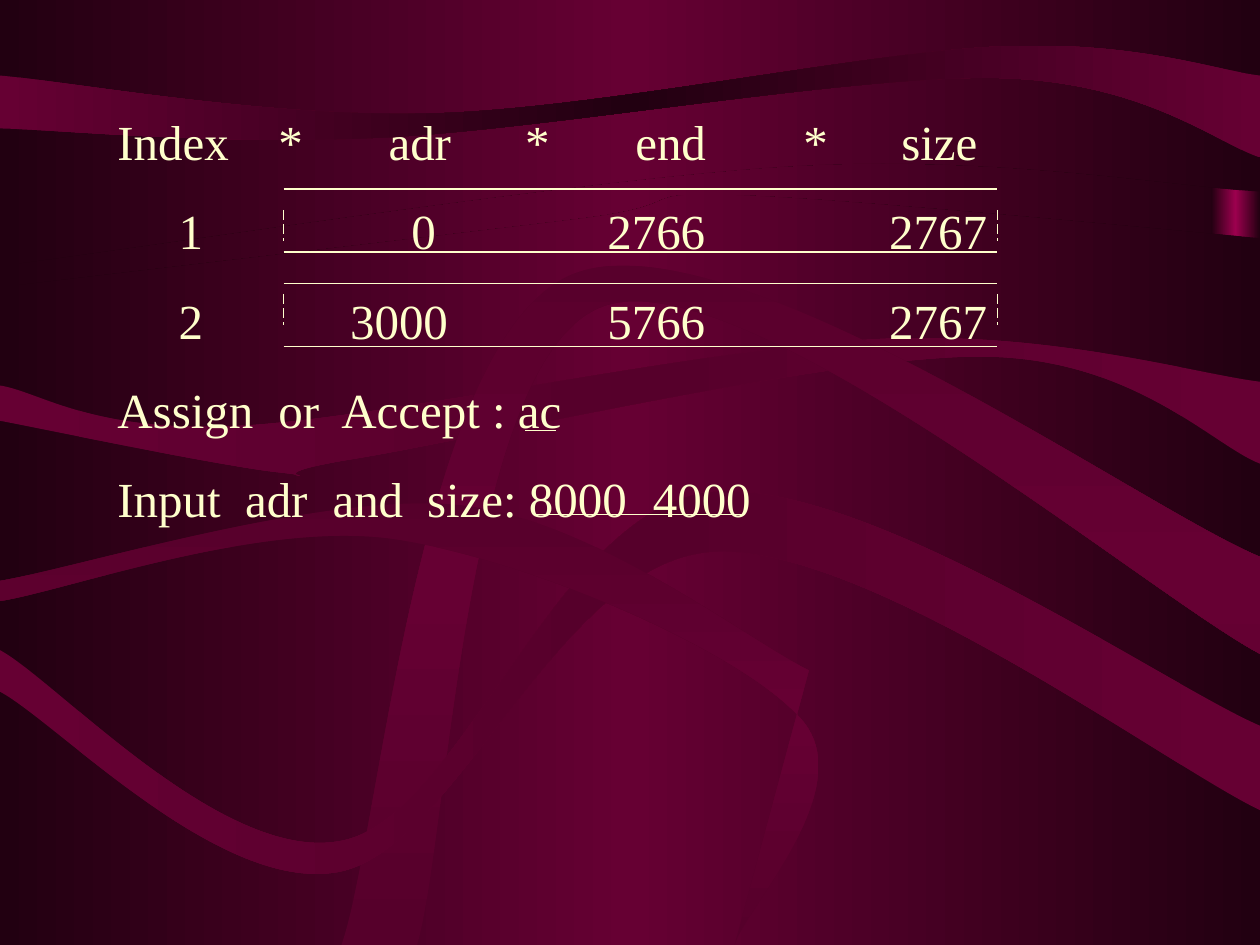
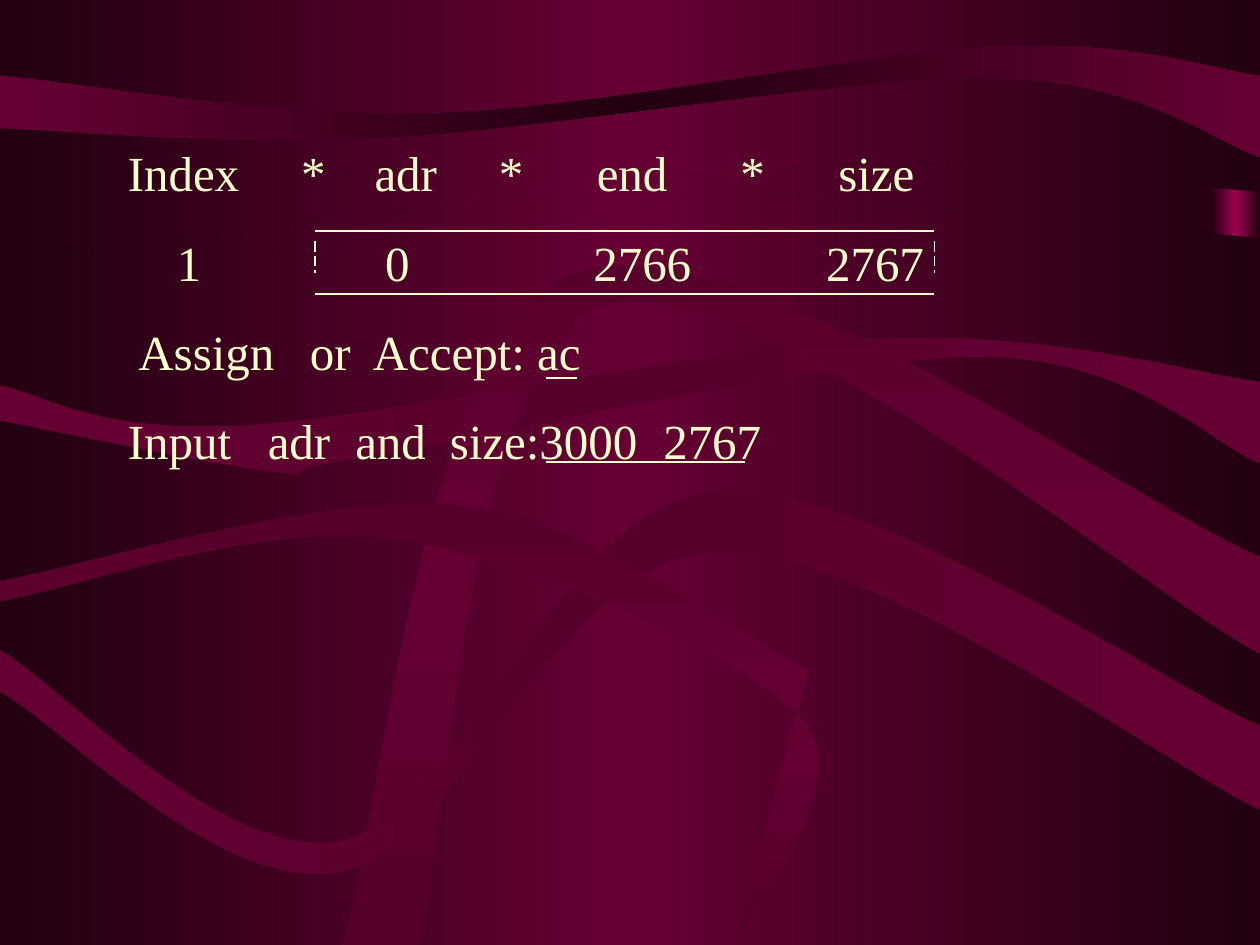
from dataclasses import dataclass

from lxml.etree import Element, SubElement
from pptx import Presentation
from pptx.dml.color import RGBColor
from pptx.enum.dml import MSO_LINE
from pptx.enum.shapes import MSO_CONNECTOR, MSO_SHAPE
from pptx.enum.text import MSO_AUTO_SIZE
from pptx.oxml.ns import qn
from pptx.util import Pt

RECTANGLE = MSO_SHAPE.RECTANGLE
STRAIGHT = MSO_CONNECTOR.STRAIGHT
LONG_DASH = MSO_LINE.LONG_DASH
GROW = MSO_AUTO_SIZE.SHAPE_TO_FIT_TEXT

CREAM = RGBColor(0xFF, 0xFF, 0xCC)
NIGHT = RGBColor(0x22, 0x00, 0x11)
WINE = RGBColor(0x66, 0x00, 0x33)
PLUM = RGBColor(0x56, 0x00, 0x2B)
MAGENTA = RGBColor(0x9C, 0x00, 0x4E)

FONT = "Times New Roman"
RIBBON_UNIT = Pt(0.72)
FIRST_RIBBON_ID = 100
FRAME_HEIGHT = 36
SIDE_HEIGHT = 18

Point = tuple[float, float]


@dataclass(frozen=True)
class Ribbon:
    outward: list[Point]
    homeward: list[Point]
    edge: RGBColor
    middle: RGBColor
    angle: int = 180


@dataclass(frozen=True)
class Row:
    words: list[str]
    offsets: list[int]


@dataclass(frozen=True)
class Frame:
    left: float
    right: float
    top: float
    side_top: float


@dataclass(frozen=True)
class Underline:
    left: float
    right: float
    top: float


@dataclass(frozen=True)
class Page:
    left: float
    top: float
    width: float
    height: float
    rows: list[Row]
    frames: list[Frame]
    underlines: list[Underline]


HEADINGS = ["Index", "*", "adr", "*", "end", "*", "size"]

RIBBONS = [
    Ribbon([(0, 0), (1000, 0)], [(1000, 152), (625, 132), (0, 211)], NIGHT, WINE),
    Ribbon([(0, 228), (458, 174), (586, 155), (1000, 189)],
           [(1000, 750), (0, 750)], NIGHT, WINE),
    Ribbon([(0, 60), (345, 90), (792, 37), (1000, 60)],
           [(1000, 125), (794, 62), (308, 109), (0, 102)], WINE, NIGHT),
    Ribbon([(0, 306), (190, 338), (701, 269), (1000, 303)],
           [(1000, 368), (780, 283), (282, 364), (222, 375), (0, 334)], WINE, PLUM),
    Ribbon([(271, 750), (454, 218), (1000, 442)],
           [(1000, 519), (479, 243), (331, 750)], PLUM, WINE, 90),
    Ribbon([(0, 516), (273, 667), (562, 391), (1000, 576)],
           [(1000, 643), (565, 438), (269, 692), (0, 549)], WINE, PLUM),
    Ribbon([(0, 477), (314, 428), (637, 572), (583, 750)],
           [(642, 532), (366, 401), (0, 461)], PLUM, WINE, 90),
]

PAGES = [
    Page(
        60, 60, 612, 245.5,
        [
            Row(HEADINGS, [0, 92, 155, 233, 296, 392, 448]),
            Row(["1", "0", "2766", "2767"], [35, 168, 280, 441]),
            Row(["2", "3000", "5766", "2767"], [35, 133, 280, 441]),
            Row(["Assign", "or", "Accept : ac"], [0, 92, 128]),
            Row(["Input", "adr", "and", "size: 8000", "4000"], [0, 73, 123, 177, 306]),
        ],
        [Frame(162, 570, 108, 120), Frame(162, 570, 162, 168)],
        [Underline(300, 318, 246), Underline(306, 426, 294)],
    ),
    Page(
        66, 78, 582, 194.4,
        [
            Row(HEADINGS, [0, 99, 141, 212, 268, 350, 406]),
            Row(["1", "0", "2766", "2767"], [28, 147, 266, 399]),
            Row(["Assign", "or", "Accept: ac"], [6, 104, 140]),
            Row(["Input", "adr", "and", "size:3000", "2767"], [0, 80, 130, 184, 306]),
        ],
        [Frame(180, 534, 132, 138)],
        [Underline(312, 330, 216), Underline(312, 426, 264)],
    ),
]


def fill_gradient(fill, element, edge: RGBColor, middle: RGBColor, angle: int) -> None:
    fill.gradient()
    fill.gradient_angle = angle
    stops = element.find(f".//{qn('a:gsLst')}")
    for stop in list(stops):
        stops.remove(stop)
    for position, color in ((0, edge), (50000, middle), (100000, edge)):
        stop = SubElement(stops, qn("a:gs"), pos=str(position))
        SubElement(stop, qn("a:srgbClr"), val=str(color))


def style_ribbon(shape, edge: RGBColor, middle: RGBColor, angle: int) -> None:
    shape.shadow.inherit = False
    fill_gradient(shape.fill, shape.element, edge, middle, angle)
    shape.line.fill.background()


def smooth_points(anchors: list[Point]) -> list[Point]:
    padded = [anchors[0], *anchors, anchors[-1]]
    points = []
    for before, start, end, after in zip(padded, padded[1:], padded[2:], padded[3:]):
        points += [
            (start[0] + (end[0] - before[0]) / 6, start[1] + (end[1] - before[1]) / 6),
            (end[0] - (after[0] - start[0]) / 6, end[1] - (after[1] - start[1]) / 6),
            end,
        ]
    return points


def bend_lines(lines: list) -> None:
    for first, second, third in zip(lines[::3], lines[1::3], lines[2::3]):
        curve = Element(qn("a:cubicBezTo"))
        first.addprevious(curve)
        for line in (first, second, third):
            curve.append(line[0])
            line.getparent().remove(line)


def draw_ribbon(slide, ribbon: Ribbon):
    outward = smooth_points(ribbon.outward)
    homeward = smooth_points(ribbon.homeward)
    builder = slide.shapes.build_freeform(*ribbon.outward[0], scale=RIBBON_UNIT)
    builder.add_line_segments([*outward, ribbon.homeward[0], *homeward], close=True)
    shape = builder.convert_to_shape()
    lines = shape.element.findall(f".//{qn('a:lnTo')}")
    bridge = len(outward)
    bend_lines(lines[:bridge])
    bend_lines(lines[bridge + 1:])
    style_ribbon(shape, ribbon.edge, ribbon.middle, ribbon.angle)
    return shape


def build_master(master, slide) -> None:
    fill_gradient(master.background.fill, master.element, NIGHT, WINE, 180)
    glow = slide.shapes.add_shape(RECTANGLE, Pt(692), Pt(35), Pt(28), Pt(248.5))
    style_ribbon(glow, NIGHT, MAGENTA, 180)
    shapes = [glow] + [draw_ribbon(slide, ribbon) for ribbon in RIBBONS]
    for number, shape in enumerate(shapes, FIRST_RIBBON_ID):
        shape.element.nvSpPr.cNvPr.set("id", str(number))
        master.shapes.element.append(shape.element)


def write_row(paragraph, row: Row) -> None:
    paragraph.space_before = Pt(17.5)
    stops = SubElement(paragraph._p.get_or_add_pPr(), qn("a:tabLst"))
    for offset in filter(None, row.offsets):
        SubElement(stops, qn("a:tab"), pos=str(Pt(offset)), algn="l")
    paragraph.font.name = FONT
    paragraph.font.size = Pt(28)
    paragraph.font.color.rgb = CREAM
    lead = "\t" if row.offsets[0] else ""
    paragraph.add_run().text = lead + "\t".join(row.words)


def draw_line(slide, left: float, top: float, right: float, bottom: float,
              dashed: bool = False) -> None:
    connector = slide.shapes.add_connector(
        STRAIGHT, Pt(left), Pt(top), Pt(right), Pt(bottom))
    connector.line.color.rgb = CREAM
    connector.line.width = Pt(0.75)
    if dashed:
        connector.line.dash_style = LONG_DASH
    SubElement(connector.element.spPr, qn("a:effectLst"))


def draw_frame(slide, frame: Frame) -> None:
    for level in (frame.top, frame.top + FRAME_HEIGHT):
        draw_line(slide, frame.left, level, frame.right, level)
    for side in (frame.left, frame.right):
        draw_line(slide, side, frame.side_top, side, frame.side_top + SIDE_HEIGHT,
                  dashed=True)


def draw_page(slide, page: Page) -> None:
    box = slide.shapes.add_textbox(
        Pt(page.left), Pt(page.top), Pt(page.width), Pt(page.height))
    text = box.text_frame
    text.word_wrap = True
    text.auto_size = GROW
    for index, row in enumerate(page.rows):
        write_row(text.add_paragraph() if index else text.paragraphs[0], row)
    for frame in page.frames:
        draw_frame(slide, frame)
    for underline in page.underlines:
        draw_line(slide, underline.left, underline.top, underline.right, underline.top)


def main() -> None:
    deck = Presentation()
    deck.slide_width, deck.slide_height = Pt(720), Pt(540)
    blank = deck.slide_layouts[6]
    slides = [deck.slides.add_slide(blank) for _ in PAGES]
    build_master(deck.slide_master, slides[0])
    for slide, page in zip(slides, PAGES):
        draw_page(slide, page)
    deck.save("out.pptx")


if __name__ == "__main__":
    main()
